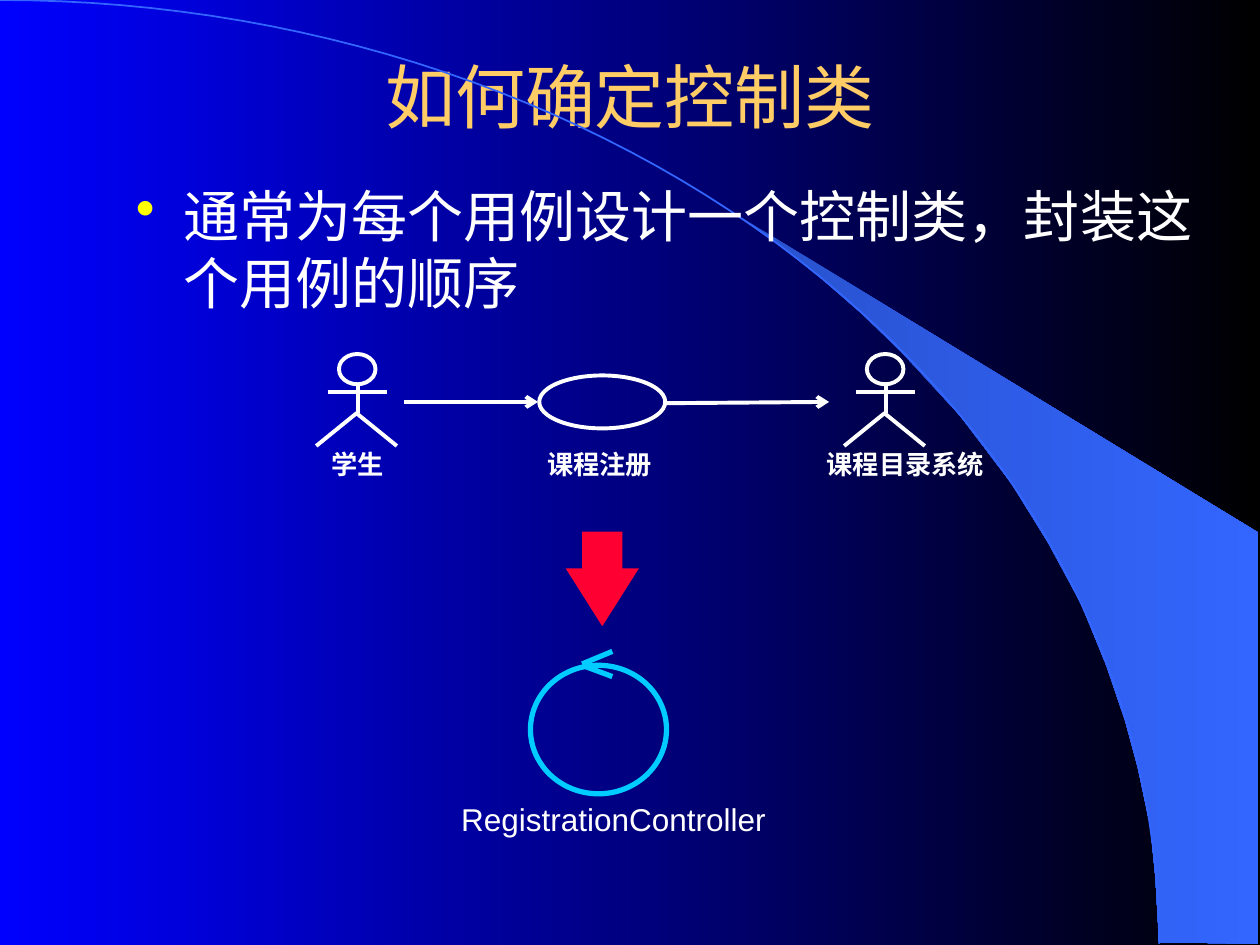
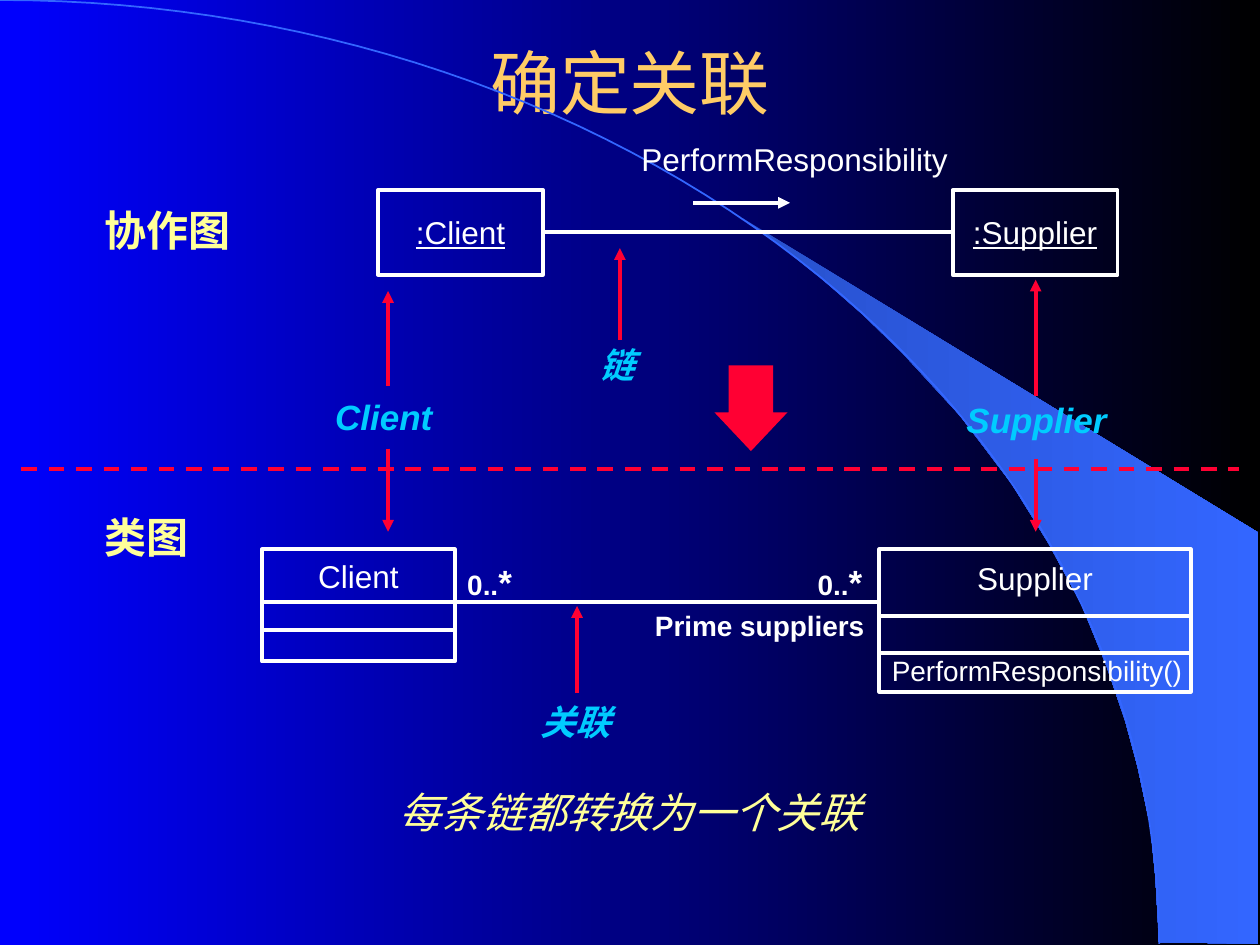
from dataclasses import dataclass
from math import cos, pi, sin

from lxml.etree import SubElement
from pptx import Presentation
from pptx.dml.color import RGBColor as RGB
from pptx.enum.dml import MSO_LINE
from pptx.enum.shapes import MSO_CONNECTOR, MSO_SHAPE as SHAPE
from pptx.enum.text import MSO_ANCHOR as ANCHOR, PP_ALIGN as ALIGN
from pptx.oxml.ns import qn
from pptx.util import Pt

PX = 9144  # EMU per px, 100 px to the inch


@dataclass(frozen=True)
class Theme:
    white: RGB = RGB(0xFF, 0xFF, 0xFF)
    black: RGB = RGB(0x00, 0x00, 0x00)
    blue: RGB = RGB(0x00, 0x00, 0xFF)
    band_dark: RGB = RGB(0x28, 0x51, 0xCC)
    band: RGB = RGB(0x33, 0x66, 0xFF)
    gold: RGB = RGB(0xFF, 0xCC, 0x66)
    bullet: RGB = RGB(0xFF, 0xFF, 0x00)
    pale: RGB = RGB(0xFF, 0xFF, 0x99)
    cyan: RGB = RGB(0x00, 0xCC, 0xFF)
    red: RGB = RGB(0xFF, 0x00, 0x33)
    font: str = "Arial"
    body_font: str = "Times New Roman"
    title: int = 40
    body: int = 32
    heading: int = 24
    note: int = 20
    label: int = 18
    small: int = 16
    caption: int = 15
    thin: float = 1
    stroke: float = 2.25
    thick: float = 3


theme = Theme()
PADDED = (10, 5)


def add_text(slide, box, runs, color=theme.white, style="", inset=(0, 0),
             align=ALIGN.LEFT, font=theme.font):
    """Add one paragraph of (text, size) runs; style takes b, i and u."""
    shape = slide.shapes.add_textbox(*(value * PX for value in box))
    frame = shape.text_frame
    frame.word_wrap = True
    frame.margin_left = frame.margin_right = inset[0] * PX
    frame.margin_top = frame.margin_bottom = inset[1] * PX
    paragraph = frame.paragraphs[0]
    paragraph.alignment = align
    for text, size in runs:
        run = paragraph.add_run()
        run.text = text
        run.font.name = font
        run.font.size = Pt(size)
        run.font.color.rgb = color
        run.font.bold = "b" in style
        run.font.italic = "i" in style
        run.font.underline = "u" in style
    return shape


def add_line(slide, start, end, color=theme.white, width=theme.stroke, head=None):
    """Add a straight connector, with an arrowhead of type head at its end."""
    line = slide.shapes.add_connector(
        MSO_CONNECTOR.STRAIGHT, *(value * PX for value in (*start, *end)))
    line.line.color.rgb = color
    line.line.width = Pt(width)
    if head:
        SubElement(line.line._get_or_add_ln(), qn("a:tailEnd"), type=head)
    SubElement(line._element.spPr, qn("a:effectLst"))
    return line


presentation = Presentation()
presentation.slide_width = 1000 * PX
presentation.slide_height = 750 * PX
blank = presentation.slide_layouts[6]
control_slide = presentation.slides.add_slide(blank)
association_slide = presentation.slides.add_slide(blank)

# Background, band and title
band_points = [
    (920, 748), (999, 749), (999, 423), (589, 173), (624, 199), (653, 222),
    (685, 250), (716, 280), (762, 330), (803, 384), (832, 431), (858, 479),
    (878, 528), (893, 572), (903, 609), (913, 656), (917, 696)]
curve_steps = 60
angles = [step * pi / 2 / curve_steps for step in range(curve_steps + 1)]
curve_points = [(920 * sin(angle), 749 - 749 * cos(angle)) for angle in angles]

for slide, title, top, height in [(control_slide, "如何确定控制类", 44, 64),
                                  (association_slide, "确定关联", 36, 58)]:
    start, *rest = [(x * PX, y * PX) for x, y in band_points]
    builder = slide.shapes.build_freeform(*start)
    builder.add_line_segments(rest, close=True)
    band = builder.convert_to_shape()
    band.shadow.inherit = False
    band.line.fill.background()
    for fill, colors in [(slide.background.fill, (theme.blue, theme.black)),
                         (band.fill, (theme.band_dark, theme.band))]:
        fill.gradient()
        fill.gradient_angle = 0
        for stop, color in zip(fill.gradient_stops, colors):
            stop.color.rgb = color
    title_box = add_text(slide, (75, top, 850, height), [(title, theme.title)],
                         theme.gold, inset=PADDED, align=ALIGN.CENTER)
    title_box.text_frame.vertical_anchor = ANCHOR.MIDDLE

# Open paths: the curve on both slides and the legs of both actors
actor_lefts = [251, 670]
open_paths = [(slide, curve_points, theme.band, theme.thin)
              for slide in (control_slide, association_slide)]
open_paths += [(control_slide, [(left, 354), (left + 32, 328), (left + 64, 354)],
                theme.white, theme.stroke) for left in actor_lefts]
for slide, points, color, width in open_paths:
    start, *rest = [(x * PX, y * PX) for x, y in points]
    builder = slide.shapes.build_freeform(*start)
    builder.add_line_segments(rest, close=False)
    path_shape = builder.convert_to_shape()
    path_shape.shadow.inherit = False
    path_shape.fill.background()
    path_shape.line.color.rgb = color
    path_shape.line.width = Pt(width)

# Outlined shapes
client_object = (300, 151, 131, 67)
supplier_object = (756, 151, 131, 67)
client_class = (208, 436, 153, 89)
supplier_class = (698, 436, 247, 113)
outlines = [(control_slide, SHAPE.OVAL, (left + 18, 281, 29, 24),
             theme.white, theme.stroke) for left in actor_lefts]
outlines += [
    (control_slide, SHAPE.OVAL, (428, 298, 100, 42), theme.white, theme.stroke),
    (control_slide, SHAPE.OVAL, (421, 528, 108, 102), theme.cyan, theme.thick)]
outlines += [(association_slide, SHAPE.RECTANGLE, box, theme.white, theme.stroke)
             for box in (client_object, supplier_object, client_class, supplier_class)]
outlined = {}
for slide, kind, box, color, width in outlines:
    shape = slide.shapes.add_shape(kind, *(value * PX for value in box))
    shape.shadow.inherit = False
    shape.fill.background()
    shape.line.color.rgb = color
    shape.line.width = Pt(width)
    outlined[box] = shape

# Red block arrows
for slide, box, adjustments in [
        (control_slide, (449, 422, 58, 75), (0.55, 0.79)),
        (association_slide, (567, 290, 58, 68), (0.61, 0.53))]:
    arrow = slide.shapes.add_shape(SHAPE.DOWN_ARROW, *(value * PX for value in box))
    arrow.shadow.inherit = False
    arrow.fill.solid()
    arrow.fill.fore_color.rgb = theme.red
    arrow.line.fill.background()
    for index, adjustment in enumerate(adjustments):
        arrow.adjustments[index] = adjustment

# Slide 1: use case, actors and controller
body = add_text(control_slide, (98, 139, 876, 458),
                [("通常为每个用例设计一个控制类，封装这个用例的顺序", theme.body)],
                inset=PADDED, font=theme.body_font)
properties = body.text_frame.paragraphs[0]._p.get_or_add_pPr()
properties.set("marL", str(38 * PX))
properties.set("indent", str(-38 * PX))
bullet_color = SubElement(properties, qn("a:buClr"))
SubElement(bullet_color, qn("a:srgbClr"), val=str(theme.bullet))
SubElement(properties, qn("a:buChar"), char="•")

for left in actor_lefts:
    add_line(control_slide, (left + 33, 305), (left + 33, 328))
    add_line(control_slide, (left + 9, 311), (left + 56, 311))
for text, left, width in [("学生", 149, 269), ("课程注册", 351, 250),
                          ("课程目录系统", 584, 269)]:
    add_text(control_slide, (left, 351, width, 35), [(text, theme.caption)],
             style="b", inset=PADDED, align=ALIGN.CENTER)
add_line(control_slide, (321, 319), (427, 319), head="arrow")
add_line(control_slide, (528, 320), (658, 319), head="arrow")

for start, end in [((486, 517), (462, 527)), ((486, 537), (462, 528))]:
    add_line(control_slide, start, end, theme.cyan, theme.thick)
add_text(control_slide, (366, 635, 252, 30), [("RegistrationController", theme.label)])

# Slide 2: links become associations
link = add_line(association_slide, (431, 184), (756, 184))
link.begin_connect(outlined[client_object], 3)
link.end_connect(outlined[supplier_object], 1)
add_line(association_slide, (550, 161), (627, 161), head="triangle")
add_line(association_slide, (359, 478), (698, 478))
for left, top, width, *dividers in [(*client_class[:3], 478, 500),
                                    (*supplier_class[:3], 489, 518)]:
    for y in dividers:
        add_line(association_slide, (left, y), (left + width, y))
divide = add_line(association_slide, (17, 372), (983, 372), theme.red)
divide.line.dash_style = MSO_LINE.DASH

for x, start_y, end_y in [(492, 270, 197), (458, 550, 481), (308, 306, 231),
                          (308, 356, 422), (822, 314, 222), (822, 364, 422)]:
    add_line(association_slide, (x, start_y), (x, end_y), theme.red, head="triangle")

for text, (left, _, width, _), top, style in [
        (":Client", client_object, 169, "u"), (":Supplier", supplier_object, 169, "u"),
        ("Client", client_class, 442, ""), ("Supplier", supplier_class, 444, "")]:
    add_text(association_slide, (left, top, width, 30), [(text, theme.label)],
             style=style, align=ALIGN.CENTER)
for text, left, top, width in [("链", 476, 273, 38), ("关联", 429, 556, 66),
                               ("Client", 266, 314, 87), ("Supplier", 767, 316, 121)]:
    add_text(association_slide, (left, top, width, 33), [(text, theme.note)],
             theme.cyan, "bi")
for text, top in [("协作图", 162), ("类图", 406)]:
    add_text(association_slide, (83, top, 110, 40), [(text, theme.heading)],
             theme.pale, "b")
for left in (361, 639):
    add_text(association_slide, (left, 440, 61, 44),
             [("0..", theme.small), ("*", theme.note)], style="b", inset=PADDED)

add_text(association_slide, (509, 111, 304, 30), [("PerformResponsibility", theme.label)])
add_text(association_slide, (510, 478, 193, 37), [("Prime suppliers", theme.small)],
         style="b", inset=PADDED)
add_text(association_slide, (698, 514, 258, 37),
         [("PerformResponsibility()", theme.small)], inset=PADDED)
add_text(association_slide, (221, 618, 558, 52),
         [("每条链都转换为一个关联", theme.heading)], theme.pale, "i",
         inset=(12, 6), align=ALIGN.CENTER)

presentation.save("out.pptx")
